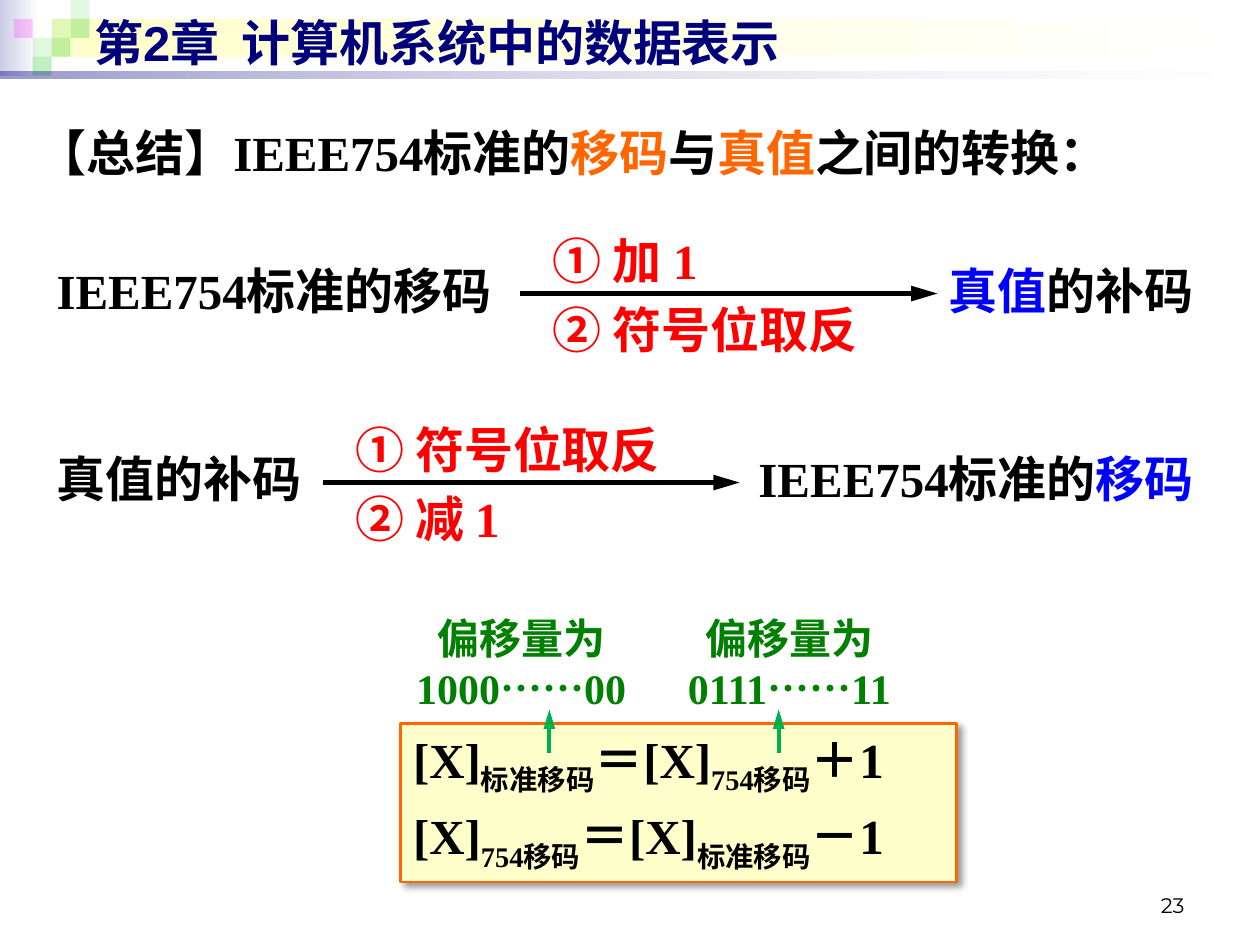
from dataclasses import dataclass
from typing import Optional

from lxml.etree import SubElement
from pptx import Presentation
from pptx.dml.color import RGBColor
from pptx.enum.shapes import MSO_CONNECTOR, MSO_SHAPE
from pptx.enum.text import MSO_ANCHOR, PP_ALIGN
from pptx.oxml.ns import qn
from pptx.util import Inches, Pt

LATIN = "Times New Roman"
CHINESE = "Noto Sans CJK SC"
BLACK, NAVY, RED, BLUE = "000000", "00007D", "FF0000", "0000FF"
ORANGE, GREEN, ARROW_GREEN = "FF6600", "008000", "00B050"
CREAM, WHITE, LIME, MAGENTA = "FFFFCC", "FFFFFF", "33CC33", "FF00FF"


@dataclass
class Span:
    text: str
    color: str = BLACK
    size: float = 28
    font: str = LATIN
    bold: bool = True
    baseline: int = 0


@dataclass
class Label:
    box: tuple[float, float, float, float]
    lines: list[list[Span]]
    align: PP_ALIGN = PP_ALIGN.LEFT
    anchor: MSO_ANCHOR = MSO_ANCHOR.TOP
    wrap: bool = True


@dataclass
class Bar:
    box: tuple[float, float, float, float]
    stops: tuple[tuple[str, int], tuple[str, int]]


@dataclass
class Square:
    column: int
    row: int
    color: str
    opacity: int


@dataclass
class Arrow:
    start: tuple[float, float]
    end: tuple[float, float]
    color: str
    width: float


def rgb(color: str) -> RGBColor:
    return RGBColor.from_string(color)


def set_opacity(color_element, percent: int) -> None:
    if percent < 100:
        SubElement(color_element, qn("a:alpha")).set("val", str(percent * 1000))


def write(frame, lines: list[list[Span]], align: PP_ALIGN, gap: float = 0) -> None:
    for index, spans in enumerate(lines):
        paragraph = frame.add_paragraph() if index else frame.paragraphs[0]
        paragraph.alignment = align
        if index and gap:
            paragraph.space_before = Pt(gap)
        for span in spans:
            run = paragraph.add_run()
            run.text = span.text
            run.font.name = span.font
            run.font.size = Pt(span.size)
            run.font.bold = span.bold
            run.font.color.rgb = rgb(span.color)
            properties = run.font._element
            if span.baseline:
                properties.set("baseline", str(span.baseline * 1000))
            SubElement(properties, qn("a:ea")).set("typeface", CHINESE)


def add_label(slide, label: Label) -> None:
    frame = slide.shapes.add_textbox(*map(Inches, label.box)).text_frame
    frame.word_wrap = label.wrap
    frame.vertical_anchor = label.anchor
    write(frame, label.lines, label.align)


def add_rectangle(slide, box: tuple[float, float, float, float]):
    shape = slide.shapes.add_shape(MSO_SHAPE.RECTANGLE, *map(Inches, box))
    shape.shadow.inherit = False
    shape.line.fill.background()
    return shape


def add_bar(slide, bar: Bar) -> None:
    shape = add_rectangle(slide, bar.box)
    shape.fill.gradient()
    shape.fill.gradient_angle = 0
    for stop, (color, _) in zip(shape.fill.gradient_stops, bar.stops):
        stop.color.rgb = rgb(color)
    color_elements = list(shape._element.spPr.iter(qn("a:srgbClr")))
    for element, (_, opacity) in zip(color_elements, bar.stops):
        set_opacity(element, opacity)


def add_square(slide, square: Square) -> None:
    side = 0.15
    shape = add_rectangle(slide, (0.11 + square.column * side, square.row * side, side, side))
    shape.fill.solid()
    shape.fill.fore_color.rgb = rgb(square.color)
    set_opacity(next(shape._element.spPr.iter(qn("a:srgbClr"))), square.opacity)


def add_arrow(slide, arrow: Arrow) -> None:
    connector = slide.shapes.add_connector(
        MSO_CONNECTOR.STRAIGHT, *map(Inches, arrow.start + arrow.end))
    connector.line.color.rgb = rgb(arrow.color)
    connector.line.width = Pt(arrow.width)
    head = SubElement(connector.line._get_or_add_ln(), qn("a:tailEnd"))
    head.set("type", "triangle")
    head.set("w", "med")
    head.set("len", "lg")
    SubElement(connector._element.spPr, qn("a:effectLst"))


def add_conversion(slide, left: float, middle: float, steps: tuple[str, str]) -> None:
    add_arrow(slide, Arrow((left, middle), (left + 3.31, middle), BLACK, 3))
    for step, top in zip(steps, (middle - 0.55, middle)):
        add_label(slide, Label((left + 0.16, top, 3.15, 0.55), [[Span(step, RED)]]))


def add_formulas(slide, lines: list[list[Span]]) -> None:
    shape = add_rectangle(slide, (3.18, 5.74, 4.41, 1.26))
    shape.fill.solid()
    shape.fill.fore_color.rgb = rgb(CREAM)
    shape.line.color.rgb = rgb(ORANGE)
    shape.line.width = Pt(1.5)
    effects = shape._element.spPr.find(qn("a:effectLst"))
    shadow = SubElement(effects, qn("a:outerShdw"), blurRad=str(Pt(4)), dist=str(Pt(3)),
                        dir=str(45 * 60000), algn="tl", rotWithShape="0")
    set_opacity(SubElement(shadow, qn("a:srgbClr"), val=BLACK), 40)
    shape.text_frame.vertical_anchor = MSO_ANCHOR.TOP
    write(shape.text_frame, lines, PP_ALIGN.LEFT, gap=5.5)


def add_offset(slide, left: float, arrow_x: float, first: str, last: str) -> None:
    number = [Span(first, GREEN, 24), Span("……", GREEN, 24, CHINESE), Span(last, GREEN, 24)]
    add_label(slide, Label((left, 4.81, 1.89, 0.91), [[Span("偏移量为", GREEN, 24)], number],
                           PP_ALIGN.CENTER, wrap=False))
    add_arrow(slide, Arrow((arrow_x, 5.98), (arrow_x, 5.63), ARROW_GREEN, 2.25))


def formula(left: str, right: str, ending: str) -> list[Span]:
    return [Span("[X]"), Span(left, baseline=-25), Span("＝[X]"),
            Span(right, baseline=-25), Span(ending)]


BARS: list[Bar] = [
    Bar((0, 0, 0.31, 0.6), (("CCCCE6", 100), (WHITE, 100))),
    Bar((0.41, 0.15, 9.55, 0.3), ((CREAM, 100), (WHITE, 100))),
    Bar((0, 0.57, 10, 0.05), ((NAVY, 40), (WHITE, 10))),
]
SQUARES: list[Square] = [
    Square(2, 1, LIME, 15), Square(3, 0, LIME, 15), Square(3, 1, LIME, 30),
    Square(1, 2, LIME, 15), Square(0, 1, MAGENTA, 20), Square(2, 2, LIME, 30),
    Square(1, 3, LIME, 30),
]
LABELS: list[Label] = [
    Label((0.65, 0.05, 9, 0.57), [[Span("第2章  计算机系统中的数据表示", NAVY, font="Arial")]],
          anchor=MSO_ANCHOR.MIDDLE),
    Label((7.17, 6.98, 2.33, 0.35), [[Span("23", size=12, font="Montserrat", bold=False)]],
          PP_ALIGN.RIGHT, MSO_ANCHOR.BOTTOM),
    Label((0.2, 0.92, 9.29, 0.63), [[
        Span("【总结】IEEE754标准的"), Span("移码", ORANGE, font=CHINESE), Span("与"),
        Span("真值", ORANGE, font=CHINESE), Span("之间的转换：")]]),
    Label((0.35, 2.02, 4.02, 0.63), [[Span("IEEE754标准的移码")]]),
    Label((7.05, 2.02, 2.52, 0.63), [[Span("真值", BLUE, font=CHINESE), Span("的补码")]],
          PP_ALIGN.RIGHT),
    Label((0.35, 3.51, 2.52, 0.63), [[Span("真值的补码")]]),
    Label((5.55, 3.51, 4.02, 0.63), [[Span("IEEE754标准的"), Span("移码", BLUE, font=CHINESE)]],
          PP_ALIGN.RIGHT),
]


def main(presentation: Optional[object] = None) -> None:
    presentation = presentation or Presentation()
    presentation.slide_width, presentation.slide_height = Inches(10), Inches(7.5)
    slide = presentation.slides.add_slide(presentation.slide_layouts[6])
    for bar in BARS[:2]:
        add_bar(slide, bar)
    for square in SQUARES:
        add_square(slide, square)
    add_bar(slide, BARS[2])
    for label in LABELS:
        add_label(slide, label)
    add_conversion(slide, 4.13, 2.33, ("① 加 1", "② 符号位取反"))
    add_conversion(slide, 2.56, 3.83, ("① 符号位取反", "② 减 1"))
    add_formulas(slide, [formula("标准移码", "754移码", "＋1"),
                         formula("754移码", "标准移码", "－1")])
    add_offset(slide, 3.19, 4.36, "1000", "00")
    add_offset(slide, 5.32, 6.18, "0111", "11")
    presentation.save("out.pptx")


if __name__ == "__main__":
    main()
